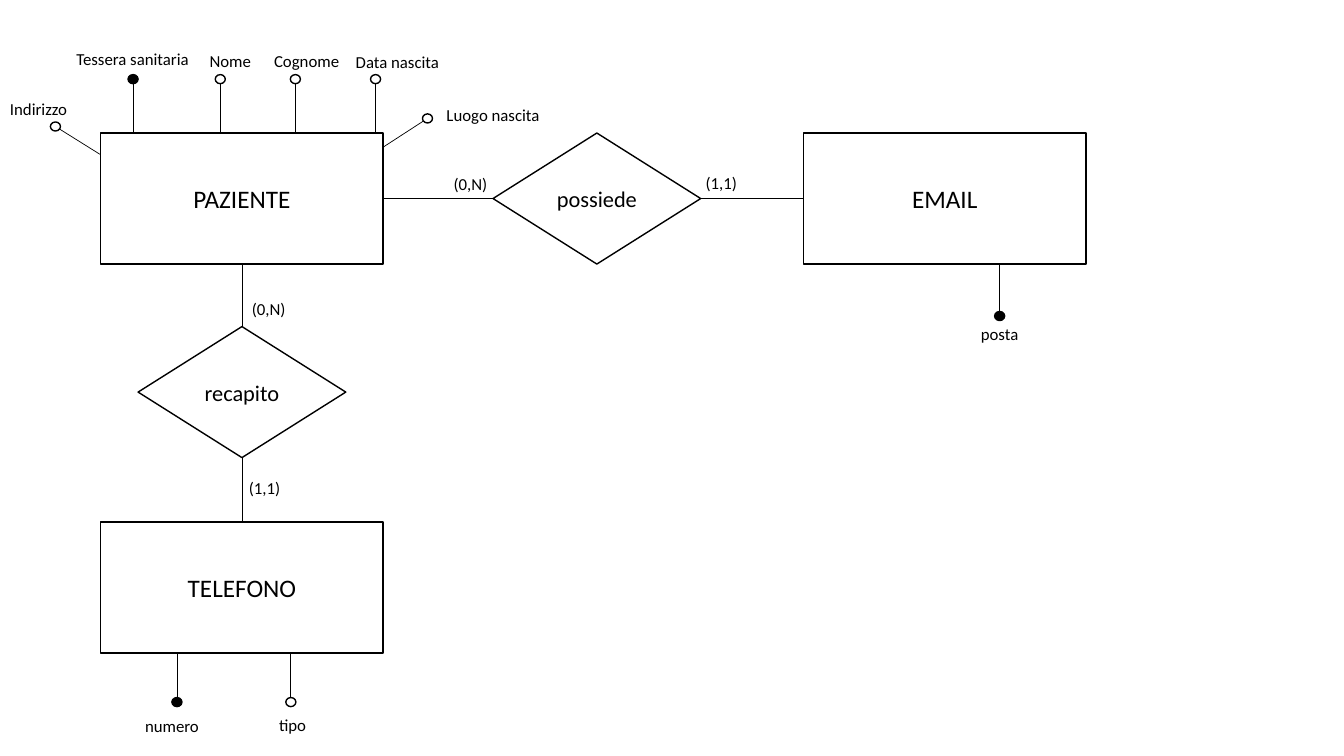
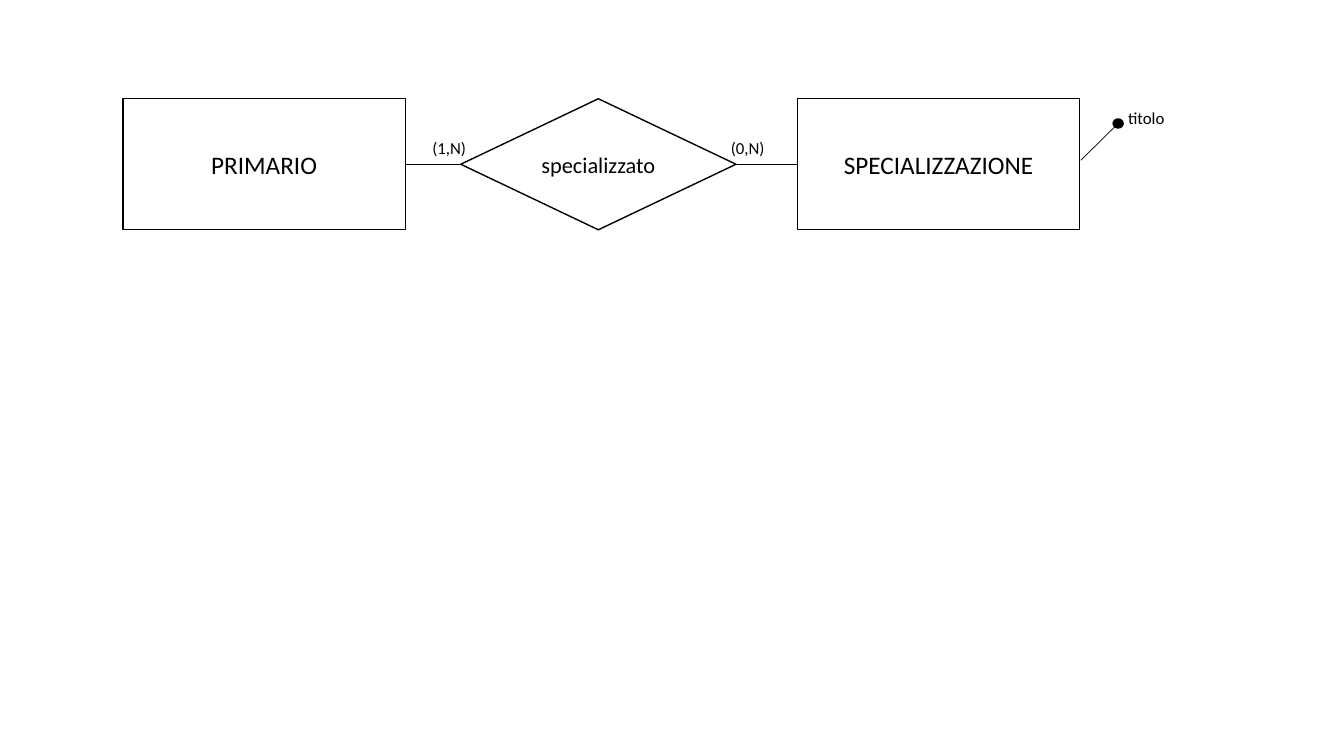
import math
from pptx import Presentation
from pptx import util as u
from pptx.dml.color import RGBColor
from pptx.enum import shapes, text
from pptx.oxml.ns import qn

INK = RGBColor(0, 0, 0)
PAPER = RGBColor(255, 255, 255)
FONT = "Calibri"
RECT = shapes.MSO_SHAPE.RECTANGLE
RHOMB = shapes.MSO_SHAPE.DIAMOND
OVAL = shapes.MSO_SHAPE.OVAL
SIZE = {RECT: 18, RHOMB: 16}
TOP, LEFT, BASE, RIGHT = range(4)
BOX, GEM, WIDE, TALL = 28, 20.6, 27.3, 13
DOT_W, DOT_H = 1, 0.9

deck = Presentation()
deck.slide_width, deck.slide_height = u.Inches(13.33), u.Inches(7.5)
CELL = deck.slide_height / 75  # grid of 75 rows, square cells


def grid(*cells):
    """Turn counts of grid cells into slide lengths."""
    return [u.Emu(round(n * CELL)) for n in cells]


def style(item, words="", size=12, fill=None, wrap=True):
    """Set the outline and fill of a shape, and the text in it."""
    if fill is not None:
        item.shadow.inherit = False
        item.fill.solid()
        item.fill.fore_color.rgb = fill
        item.line.color.rgb = INK
        item.line.width = u.Pt(1)
    if words:
        frame = item.text_frame
        frame.word_wrap = wrap
        para = frame.paragraphs[0]
        if fill is not None:
            frame.vertical_anchor = text.MSO_ANCHOR.MIDDLE
            para.alignment = text.PP_ALIGN.CENTER
        else:
            frame.auto_size = text.MSO_AUTO_SIZE.SHAPE_TO_FIT_TEXT
        run = para.add_run()
        run.text = words
        for key, val in {"name": FONT, "size": u.Pt(size)}.items():
            setattr(run.font, key, val)
        run.font.color.rgb = INK


# nodes: name, kind, left, top, width
# ties: from, side, to, side
# dots: fill, centre x and y, edge x and y
# tags: words, left, top, width
UPPER = [(fill, x, 7.85, x, 13.1) for fill, x in
         [(INK, 13.2), (PAPER, 21.85), (PAPER, 29.3), (PAPER, 37.25)]]
LOWER = [(INK, 17.55, 69.65, 17.55, 64.4), (PAPER, 28.85, 69.65, 28.85, 64.4)]
CHARTS = [
    {"wrap": True,
     "nodes": [("PAZIENTE", RECT, 10, 13.2, BOX),
               ("EMAIL", RECT, 79.7, 13.2, BOX),
               ("TELEFONO", RECT, 10, 51.8, BOX),
               ("recapito", RHOMB, 13.7, 32.4, GEM),
               ("possiede", RHOMB, 48.9, 13.2, GEM)],
     "ties": [("PAZIENTE", RIGHT, "possiede", LEFT),
              ("possiede", RIGHT, "EMAIL", LEFT),
              ("PAZIENTE", BASE, "recapito", TOP),
              ("recapito", BASE, "TELEFONO", TOP)],
     "dots": UPPER + LOWER + [(PAPER, 42.4, 11.75, 38, 14.6),
                              (PAPER, 5.5, 12.55, 9.9, 15.3),
                              (INK, 99.15, 31.35, 99.15, 26.1)],
     "tags": [("Tessera sanitaria", 6.6, 4.3, 13.3),
              ("Nome", 19.8, 4.5, 6.2),
              ("Cognome", 26.2, 4.5, 8.7),
              ("Data nascita", 34.3, 4.6, 16),
              ("Indirizzo", 0, 9.3, 7.8),
              ("Luogo nascita", 43.3, 9.9, 11.8),
              ("(0,N)", 44, 16.7, 6.6),
              ("(1,1)", 69, 16.6, 6.6),
              ("(0,N)", 24, 29.1, 6.6),
              ("(1,1)", 23.7, 46.9, 6.6),
              ("posta", 96.3, 31.6, 6.6),
              ("numero", 13.4, 70.5, 8),
              ("tipo", 26.7, 70.4, 6.6)]},
    {"wrap": False,
     "nodes": [("PRIMARIO", RECT, 12.2, 9.8, BOX),
               ("SPECIALIZZAZIONE", RECT, 79.1, 9.8, BOX),
               ("specializzato", RHOMB, 45.7, 9.8, WIDE)],
     "ties": [("PRIMARIO", RIGHT, "specializzato", LEFT),
              ("specializzato", RIGHT, "SPECIALIZZAZIONE", LEFT)],
     "dots": [(INK, 110.9, 12.25, 107.2, 15.9)],
     "tags": [("(1,N)", 41.9, 13.2, 5.4),
              ("(0,N)", 71.5, 13.2, 5.4),
              ("titolo", 110.9, 10.2, 5.7)]},
]

for chart in CHARTS:
    page = deck.slides.add_slide(deck.slide_layouts[6]).shapes
    lines, nodes = [], {}

    for fill, x, y, end_x, end_y in chart["dots"]:
        part = DOT_H / 2 / math.hypot(end_x - x, end_y - y)
        rim = x + part * (end_x - x), y + part * (end_y - y)
        lines.append(page.add_connector(
            shapes.MSO_CONNECTOR.STRAIGHT, *grid(*rim, end_x, end_y)))
        dot = page.add_shape(
            OVAL, *grid(x - DOT_W / 2, y - DOT_H / 2, DOT_W, DOT_H))
        style(dot, fill=fill)

    for name, kind, x, y, wide in chart["nodes"]:
        nodes[name] = page.add_shape(kind, *grid(x, y, wide, TALL))
        style(nodes[name], name, SIZE[kind], PAPER)

    for start, out, goal, into in chart["ties"]:
        tie = page.add_connector(shapes.MSO_CONNECTOR.STRAIGHT, 0, 0, 0, 0)
        tie.begin_connect(nodes[start], out)
        tie.end_connect(nodes[goal], into)
        lines.append(tie)

    for line in lines:
        line.line.color.rgb = INK
        line.line.width = u.Pt(0.5)
        props = line._element.spPr
        props.append(props.makeelement(qn("a:effectLst"), {}))

    for words, x, y, wide in chart["tags"]:
        style(page.add_textbox(*grid(x, y, wide, 3)), words,
              wrap=chart["wrap"])

deck.save("out.pptx")
